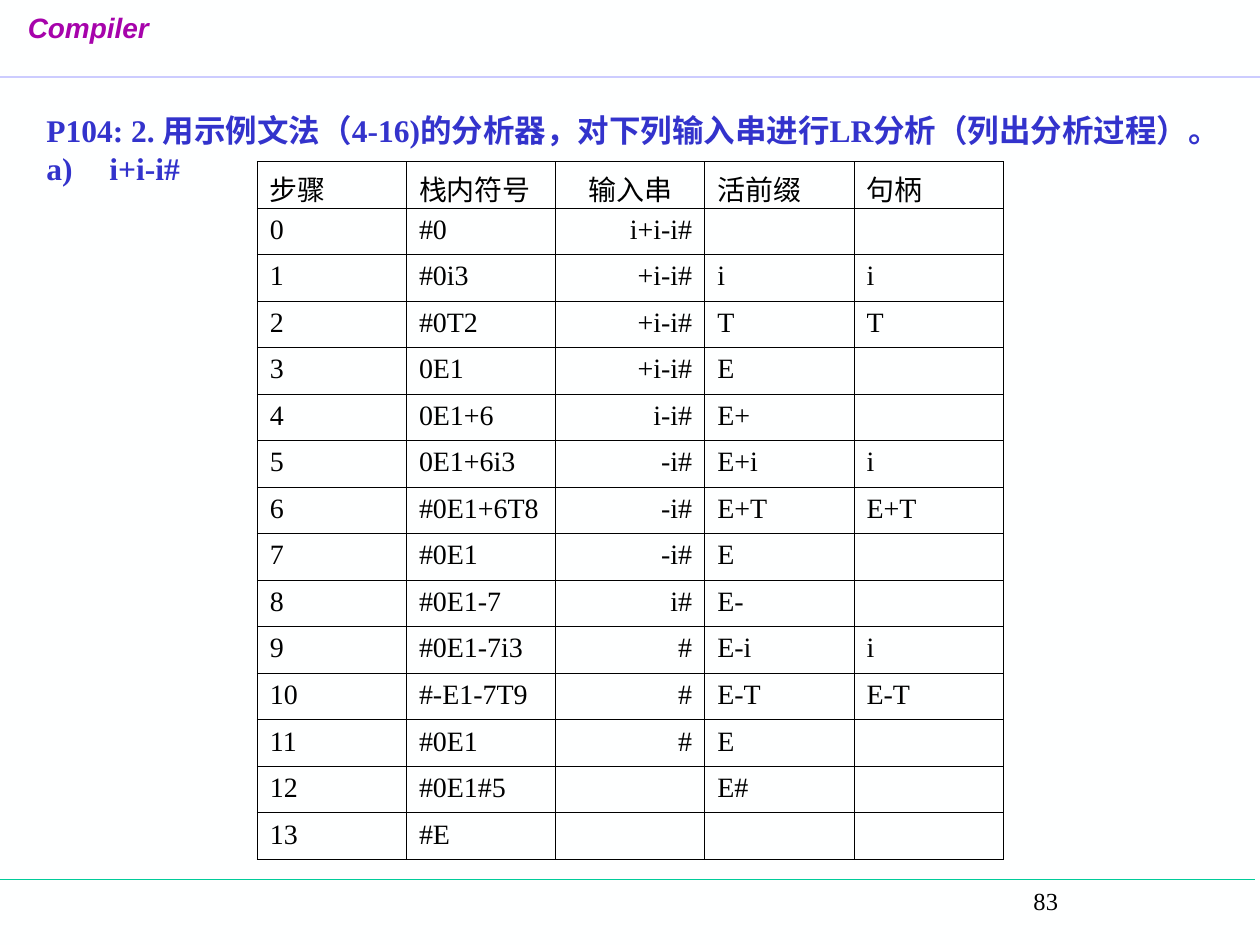
from lxml import etree
from pptx import Presentation
from pptx import util as u
from pptx.dml.color import RGBColor
from pptx.enum import shapes, text
from pptx.oxml import ns

Pt = u.Pt
ALIGN = text.PP_ALIGN

COLORS = {
    "background": "FEFFFF",
    "header": "A603AB",
    "header_rule": "CCCCFF",
    "footer_rule": "00CC99",
    "question": "3333CC",
    "ink": "000000",
}

HEADINGS = ("步骤", "栈内符号", "输入串", "活前缀", "句柄")
# Stack, remaining input, viable prefix, handle; steps are numbered from 0.
STEPS = [
    ("#0", "i+i-i#", "", ""),
    ("#0i3", "+i-i#", "i", "i"),
    ("#0T2", "+i-i#", "T", "T"),
    ("0E1", "+i-i#", "E", ""),
    ("0E1+6", "i-i#", "E+", ""),
    ("0E1+6i3", "-i#", "E+i", "i"),
    ("#0E1+6T8", "-i#", "E+T", "E+T"),
    ("#0E1", "-i#", "E", ""),
    ("#0E1-7", "i#", "E-", ""),
    ("#0E1-7i3", "#", "E-i", "i"),
    ("#-E1-7T9", "#", "E-T", "E-T"),
    ("#0E1", "#", "E", ""),
    ("#0E1#5", "", "E#", ""),
    ("#E", "", "", ""),
]
INPUT_COLUMN = 2


def rgb(name):
    return RGBColor.from_string(COLORS[name])


def sub(parent, tag, **attrs):
    return etree.SubElement(parent, ns.qn(tag), attrs)


class Deck:
    def __init__(self, slide, font="Times New Roman"):
        self.s = slide
        self.font = font
        fill = slide.background.fill
        fill.solid()
        fill.fore_color.rgb = rgb("background")

    def style(self, p, size, color, bold=None, italic=None, font=None):
        f = p.font
        f.name, f.size = font or self.font, Pt(size)
        f.bold, f.italic = bold, italic
        f.color.rgb = rgb(color)

    def rule(self, x1, x2, y, color, width):
        line = self.s.shapes.add_connector(
            shapes.MSO_CONNECTOR.STRAIGHT, Pt(x1), Pt(y), Pt(x2), Pt(y))
        line.line.color.rgb = rgb(color)
        line.line.width = Pt(width)
        sub(line._element.spPr, "a:effectLst")

    def text(self, box, paragraphs, size, color, wrap=True, indent=(0, 0),
             numbered=(), anchor=text.MSO_ANCHOR.TOP, margins=(7.2, 7.2), **style):
        """Add a text box.

        indent is (left, first line), margins is (left, right), and numbered
        holds the indexes of the paragraphs listed as a), b) and so on.
        """
        tf = self.s.shapes.add_textbox(*map(Pt, box)).text_frame
        tf.word_wrap, tf.vertical_anchor = wrap, anchor
        tf.margin_left, tf.margin_right = map(Pt, margins)
        for i, line in enumerate(paragraphs):
            p = tf.paragraphs[0] if i == 0 else tf.add_paragraph()
            p.text = line
            pPr = p._p.get_or_add_pPr()
            pPr.set("marL", str(Pt(indent[0])))
            pPr.set("indent", str(Pt(indent[1])))
            pPr.set("hangingPunct", "0")
            if i in numbered:
                sub(pPr, "a:buAutoNum", type="alphaLcParenR")
            self.style(p, size, color, **style)

    def border(self, cell, color, width):
        tcPr = cell._tc.get_or_add_tcPr()
        for side in "LRTB":
            ln = sub(tcPr, f"a:ln{side}", w=str(Pt(width)))
            sub(sub(ln, "a:solidFill"), "a:srgbClr", val=COLORS[color])

    def table(self, left, top, col_width, row_height, rows, size, color, align):
        """Add a ruled table; align(row, column) gives each cell's alignment."""
        n_rows, n_cols = len(rows), len(rows[0])
        t = self.s.shapes.add_table(
            n_rows, n_cols, Pt(left), Pt(top),
            Pt(col_width * n_cols), Pt(row_height * n_rows)).table
        t.first_row = t.horz_banding = False
        for col in t.columns:
            col.width = Pt(col_width)
        for r, values in enumerate(rows):
            t.rows[r].height = Pt(row_height)
            for c, value in enumerate(values):
                cell = t.cell(r, c)
                p = cell.text_frame.paragraphs[0]
                if value:
                    p.text = value
                p.alignment = align(r, c)
                self.style(p, size, color)
                self.border(cell, color, 0.45)
                cell.fill.background()


def cell_alignment(row, column):
    if column != INPUT_COLUMN:
        return ALIGN.LEFT
    return ALIGN.CENTER if row == 0 else ALIGN.RIGHT


def main():
    prs = Presentation()
    prs.slide_width, prs.slide_height = Pt(720), Pt(540)
    deck = Deck(prs.slides.add_slide(prs.slide_layouts[6]))

    deck.rule(-3, 717, 502.6, "footer_rule", 0.75)
    deck.rule(0, 720, 44.2, "header_rule", 1)
    deck.text((13.7, 2.6, 73.5, 40), ["Compiler"], 16, "header", wrap=False,
              margins=(2.2, 0), bold=True, italic=True, font="Arial")
    deck.text((496, 502.6, 221, 36), ["83"], 14, "ink", indent=(87.5, 0))
    deck.text((19.5, 49, 692, 72),
              ["P104: 2. 用示例文法（4-16)的分析器，对下列输入串进行LR分析（列出分析过程）。",
               "i+i-i#"],
              18, "question", indent=(36, -36), numbered=(1,),
              anchor=text.MSO_ANCHOR.MIDDLE, bold=True)
    rows = [HEADINGS] + [(str(i), *step) for i, step in enumerate(STEPS)]
    deck.table(147, 92.2, 85.25, 26.6, rows, 16, "ink", cell_alignment)

    prs.save("out.pptx")


if __name__ == "__main__":
    main()
